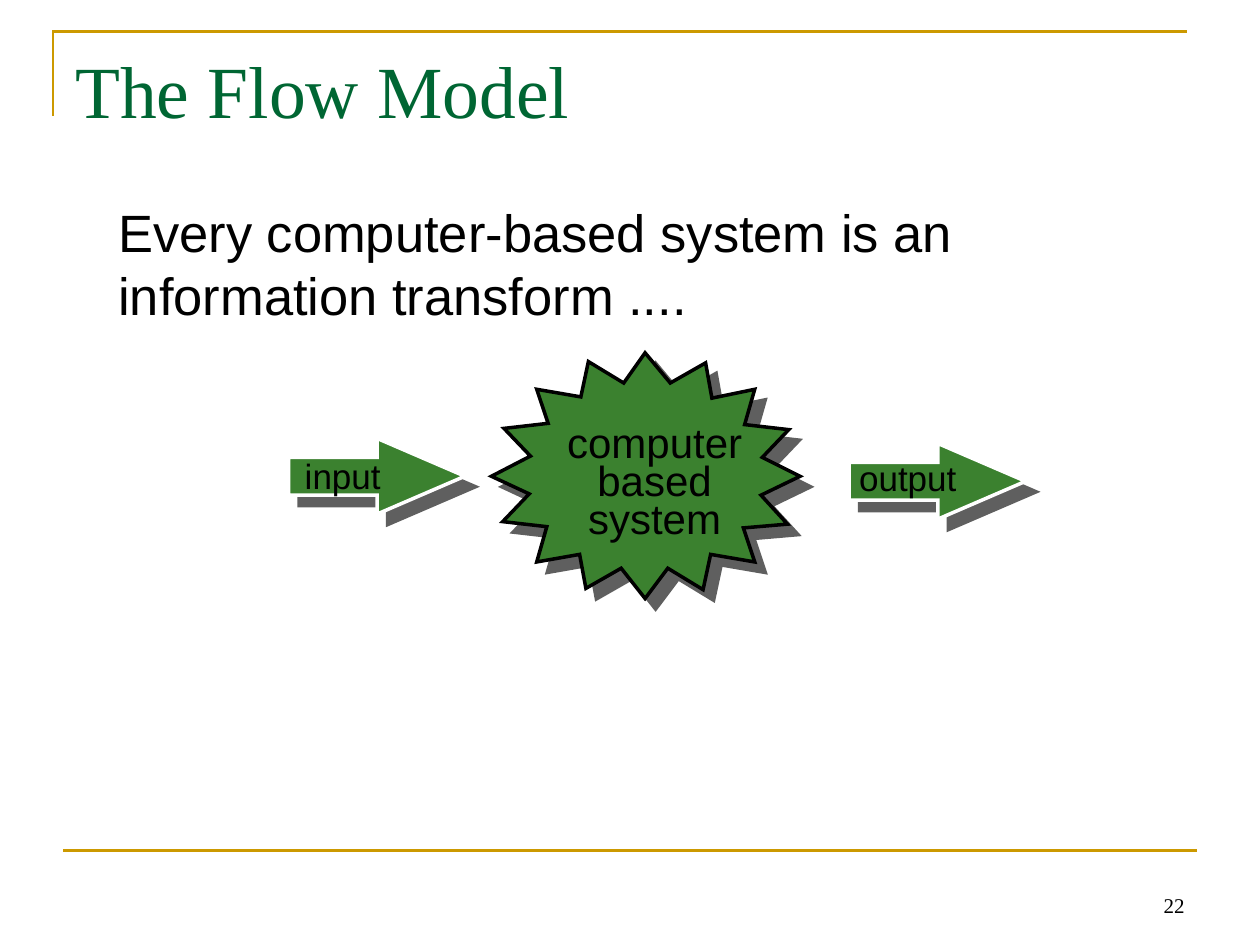
from lxml import etree
from pptx import Presentation
from pptx.dml.color import RGBColor
from pptx.enum import shapes, text
from pptx.oxml.ns import qn
from pptx.util import Inches, Pt

GOLD = "CC9900"
GREEN = "3B812F"
BLACK = "000000"
WHITE = "FFFFFF"
SHADOW = "5F5F5F"

BURST_POINTS = [
    (3.9, 3.78), (4.2, 3.92), (3.99, 4.14), (4.34, 4.18), (4.26, 4.46), (4.6, 4.4),
    (4.65, 4.67), (4.93, 4.51), (5.12, 4.75), (5.3, 4.51), (5.58, 4.68), (5.64, 4.4),
    (5.99, 4.46), (5.9, 4.19), (6.25, 4.16), (6.04, 3.93), (6.35, 3.78), (6.05, 3.63),
    (6.26, 3.41), (5.91, 3.37), (5.99, 3.09), (5.65, 3.16), (5.6, 2.88), (5.32, 3.04),
    (5.12, 2.8), (4.95, 3.04), (4.67, 2.87), (4.61, 3.15), (4.26, 3.09), (4.35, 3.36),
    (4, 3.4), (4.21, 3.62),
]


def color(value):
    return RGBColor.from_string(value)


def style_line(line, line_color, width):
    line.color.rgb = color(line_color)
    line.width = Pt(width)


def add_outline(slide, points, closed):
    (start_x, start_y), *rest = [(round(x * 100), round(y * 100)) for x, y in points]
    builder = slide.shapes.build_freeform(start_x, start_y, scale=Inches(0.01))
    builder.add_line_segments(rest, close=closed)
    outline = builder.convert_to_shape()
    outline.shadow.inherit = False
    return outline


def miter_corners(shape):
    outline = shape._element.spPr.find(qn("a:ln"))
    etree.SubElement(outline, qn("a:miter"), lim="800000")


def add_frame(slide):
    corner = add_outline(slide, [(0.42, 0.92), (0.42, 0.25), (9.42, 0.25)], False)
    corner.fill.background()
    style_line(corner.line, GOLD, 1.5)
    miter_corners(corner)
    footer_rule = slide.shapes.add_connector(
        shapes.MSO_CONNECTOR.STRAIGHT, Inches(0.5), Inches(6.75), Inches(9.5), Inches(6.75))
    style_line(footer_rule.line, GOLD, 1.5)
    etree.SubElement(footer_rule._element.spPr, qn("a:effectLst"))


def style_solid(solid, line_color):
    solid.fill.solid()
    solid.fill.fore_color.rgb = color(GREEN)
    style_line(solid.line, line_color, 2)
    miter_corners(solid)
    solid.shadow.inherit = False
    effects = solid._element.spPr.find(qn("a:effectLst"))
    drop = etree.SubElement(effects, qn("a:outerShdw"), blurRad="0", dist=str(Pt(8.5)),
                            dir=str(45 * 60000), algn="ctr", rotWithShape="0")
    etree.SubElement(drop, qn("a:srgbClr"), val=SHADOW)


def add_burst(slide):
    style_solid(add_outline(slide, BURST_POINTS, True), BLACK)


def add_flow_arrow(slide, left, top):
    arrow = slide.shapes.add_shape(
        shapes.MSO_SHAPE.RIGHT_ARROW, Inches(left), Inches(top), Inches(1.4), Inches(0.6))
    arrow.adjustments[1] = 1.16
    style_solid(arrow, WHITE)


def add_text(slide, content, left, top, width, height, size, font="Arial", ink=BLACK,
             align=text.PP_ALIGN.LEFT, anchor=text.MSO_ANCHOR.TOP, wrap=True,
             grow=False, spacing=None):
    box = slide.shapes.add_textbox(Inches(left), Inches(top), Inches(width), Inches(height))
    frame = box.text_frame
    frame.word_wrap = wrap
    frame.vertical_anchor = anchor
    frame.auto_size = (text.MSO_AUTO_SIZE.SHAPE_TO_FIT_TEXT if grow
                       else text.MSO_AUTO_SIZE.NONE)
    frame.text = content
    for paragraph in frame.paragraphs:
        paragraph.alignment = align
        paragraph.line_spacing = spacing
        paragraph.font.size = Pt(size)
        paragraph.font.name = font
        paragraph.font.color.rgb = color(ink)


def main():
    presentation = Presentation()
    presentation.slide_width = Inches(10)
    presentation.slide_height = Inches(7.5)
    slide = presentation.slides.add_slide(presentation.slide_layouts[6])

    add_frame(slide)
    add_text(slide, "The Flow Model", 0.5, 0.31, 9, 1.25, 42,
             font="Times New Roman", ink="006633")
    add_text(slide, "22", 7.17, 6.83, 2.33, 0.5, 12, font="Times New Roman",
             align=text.PP_ALIGN.RIGHT, anchor=text.MSO_ANCHOR.BOTTOM)
    add_text(slide, "Every computer-based system is an information transform ....",
             0.84, 1.54, 8.58, 1.1, 30, grow=True)

    add_burst(slide)
    add_flow_arrow(slide, 2.29, 3.48)
    add_flow_arrow(slide, 6.74, 3.52)
    add_text(slide, "computer\nbased\nsystem", 4.4, 3.35, 1.59, 1, 24,
             align=text.PP_ALIGN.CENTER, wrap=False, grow=True, spacing=0.75)
    add_text(slide, "input", 2.32, 3.56, 0.82, 0.43, 20, wrap=False, grow=True)
    add_text(slide, "output", 6.72, 3.57, 1, 0.43, 20, wrap=False, grow=True)

    presentation.save("out.pptx")


if __name__ == "__main__":
    main()
